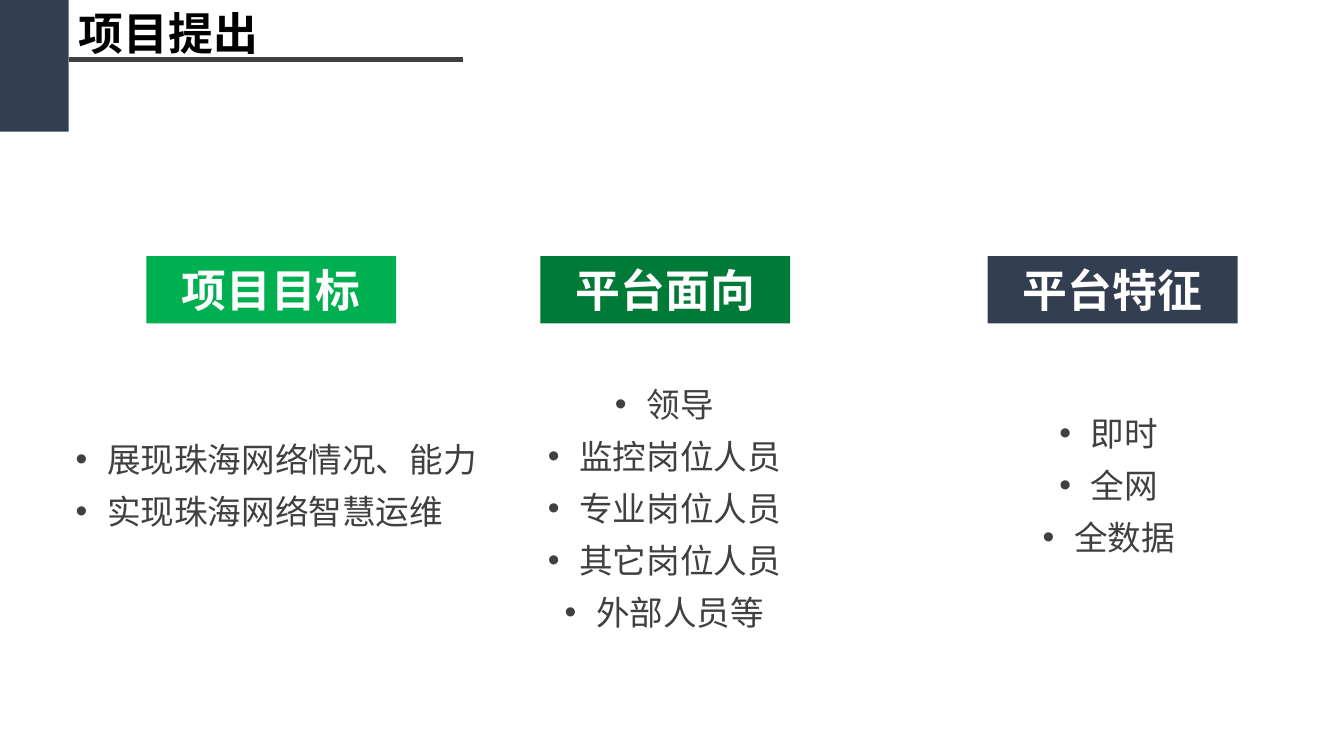
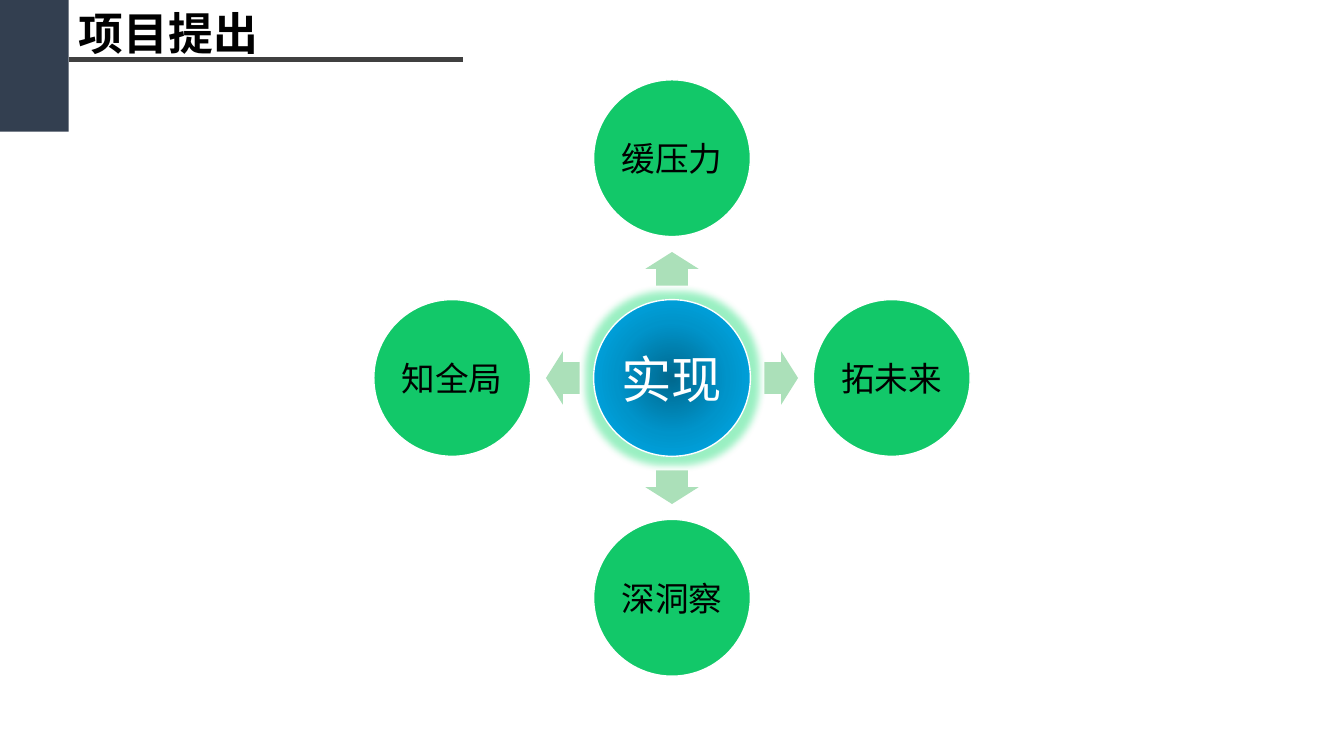
from pptx import Presentation, oxml
from pptx.dml.color import RGBColor
from pptx.enum import shapes, text
from pptx.oxml import ns
from pptx.util import Pt

SLATE = RGBColor(0x33, 0x3F, 0x50)
GREY = RGBColor(0x40, 0x40, 0x40)
BLACK = RGBColor(0, 0, 0)
WHITE = RGBColor(0xFF, 0xFF, 0xFF)
GREEN = RGBColor(0x00, 0xB0, 0x50)
DARK_GREEN = RGBColor(0x00, 0x7A, 0x37)
BRIGHT_GREEN = RGBColor(0x12, 0xC8, 0x69)
PALE_GREEN = RGBColor(0xAB, 0xE0, 0xB9)
BLUE = RGBColor(0x00, 0x94, 0xCA)
CJK = "Noto Sans CJK SC"
CENTER = text.PP_ALIGN.CENTER
MIDDLE = text.MSO_ANCHOR.MIDDLE
SHAPE = shapes.MSO_SHAPE


def write(tf, lines, font, align=CENTER, anchor=MIDDLE, inset=(7.2, 3.6), wrap=True):
    frame = dict(vertical_anchor=anchor, word_wrap=wrap, auto_size=text.MSO_AUTO_SIZE.NONE,
                 margin_left=Pt(inset[0]), margin_right=Pt(inset[0]),
                 margin_top=Pt(inset[1]), margin_bottom=Pt(inset[1]))
    for name, value in frame.items():
        setattr(tf, name, value)
    for i, line in enumerate(lines):
        p = tf.paragraphs[0] if i == 0 else tf.add_paragraph()
        p.alignment = align
        r = p.add_run()
        r.text = line
        for name, value in font.items():
            if name == "color":
                r.font.color.rgb = value
            else:
                setattr(r.font, name, value)
        ea = oxml.parse_xml(f'<a:ea {ns.nsdecls("a")} typeface="{CJK}"/>')
        r.font._element.find(ns.qn("a:latin")).addnext(ea)


def add_filled(s, kind, x, y, w, h, color, line=None):
    sp = s.shapes.add_shape(kind, Pt(x), Pt(y), Pt(w), Pt(h))
    sp.shadow.inherit = False
    sp.fill.solid()
    sp.fill.fore_color.rgb = color
    if line is None:
        sp.line.fill.background()
    else:
        sp.line.color.rgb = line
        sp.line.width = Pt(1)
    return sp


prs = Presentation()
prs.slide_width, prs.slide_height = Pt(960), Pt(540)
layout = prs.slide_layouts[5]
for ph in list(layout.placeholders):
    if ph.placeholder_format.type == shapes.PP_PLACEHOLDER.TITLE:
        ph.left, ph.top, ph.width, ph.height = Pt(49), Pt(0), Pt(145), Pt(46)
    else:
        ph.element.getparent().remove(ph.element)

goals, vision = [prs.slides.add_slide(layout) for _ in range(2)]

band = add_filled(goals, SHAPE.RECTANGLE, 0, 0, 49, 94, SLATE)
rule = goals.shapes.add_connector(shapes.MSO_CONNECTOR.STRAIGHT, Pt(49), Pt(42.5), Pt(331), Pt(42.5))
rule.line.color.rgb = GREY
rule.line.width = Pt(3)
rule.element.spPr.append(oxml.parse_xml(f'<a:effectLst {ns.nsdecls("a")}/>'))
for sp in (band, rule):
    layout.shapes.element.append(sp.element)

title_font = dict(name=CJK, size=Pt(32), bold=True, color=BLACK)
for s in (goals, vision):
    write(s.shapes.title.text_frame, ["项目提出"], title_font, text.PP_ALIGN.LEFT, wrap=False)

header_font = dict(name="Calibri", size=Pt(32), bold=True, color=WHITE)
body_font = dict(name=CJK, size=Pt(24), color=GREY)
columns = [
    ("项目目标", GREEN, 104.5, (49, 302, 307.5, 81.5), text.PP_ALIGN.LEFT,
     ["展现珠海网络情况、能力", "实现珠海网络智慧运维"]),
    ("平台面向", DARK_GREEN, 386, (370, 262.5, 209, 194.5), CENTER,
     ["领导", "监控岗位人员", "专业岗位人员", "其它岗位人员", "外部人员等"]),
    ("平台特征", SLATE, 705.5, (650, 283.5, 284, 119), CENTER,
     ["即时", "全网", "全数据"]),
]
for header, color, x, area, align, lines in columns:
    sp = add_filled(goals, SHAPE.RECTANGLE, x, 183, 178.5, 48, color)
    write(sp.text_frame, [header], header_font)
    tf = goals.shapes.add_textbox(*map(Pt, area)).text_frame
    write(tf, lines, body_font, align, text.MSO_ANCHOR.TOP, (5, 3))
    for p in tf.paragraphs:
        p.line_spacing = Pt(37.2)
        pPr = p._p.get_or_add_pPr()
        pPr.set("marL", str(Pt(22.5)))
        pPr.set("indent", str(-Pt(22.5)))
        for bullet in ('buFont {} typeface="Arial"', 'buChar {} char="•"'):
            pPr.append(oxml.parse_xml(f'<a:{bullet.format(ns.nsdecls("a"))}/>'))

CX, CY, DIAMETER, ORBIT = 480, 270, 112, 157
ARROW_W, ARROW_H, ARROW_ORBIT = 24, 38, 78
hub = add_filled(vision, SHAPE.OVAL, CX - DIAMETER / 2, CY - DIAMETER / 2, DIAMETER, DIAMETER, BLUE, WHITE)
write(hub.text_frame, ["实现"], dict(name="Calibri", size=Pt(36), color=WHITE), inset=(2, 2))
stops = "".join(f'<a:gs pos="{pos}"><a:srgbClr val="{color}"/></a:gs>'
                for pos, color in ((0, "00688E"), (50000, "0094CA"), (100000, "00B0F0")))
gradient = oxml.parse_xml(
    f'<a:gradFill {ns.nsdecls("a")} rotWithShape="1"><a:gsLst>{stops}</a:gsLst>'
    '<a:path path="circle"><a:fillToRect l="50000" t="50000" r="50000" b="50000"/></a:path></a:gradFill>')
glow = oxml.parse_xml(
    f'<a:glow {ns.nsdecls("a")} rad="{Pt(11)}"><a:srgbClr val="00DA67">'
    '<a:alpha val="40000"/></a:srgbClr></a:glow>')
spPr = hub.element.spPr
spPr.replace(spPr.find(ns.qn("a:solidFill")), gradient)
spPr.find(ns.qn("a:effectLst")).append(glow)

circle_font = dict(name="Calibri", size=Pt(24), color=BLACK)
directions = [("缓压力", 0, -1, 270), ("拓未来", 1, 0, 0), ("深洞察", 0, 1, 90), ("知全局", -1, 0, 180)]
for label, dx, dy, angle in directions:
    arrow = add_filled(vision, SHAPE.RIGHT_ARROW, CX + dx * ARROW_ORBIT - ARROW_W / 2,
                       CY + dy * ARROW_ORBIT - ARROW_H / 2, ARROW_W, ARROW_H, PALE_GREEN)
    arrow.rotation = angle
    arrow.adjustments[0], arrow.adjustments[1] = 0.6, 0.5
    sp = add_filled(vision, SHAPE.OVAL, CX + dx * ORBIT - DIAMETER / 2,
                    CY + dy * ORBIT - DIAMETER / 2, DIAMETER, DIAMETER, BRIGHT_GREEN, WHITE)
    write(sp.text_frame, [label], circle_font, inset=(2, 2))

prs.save("out.pptx")
